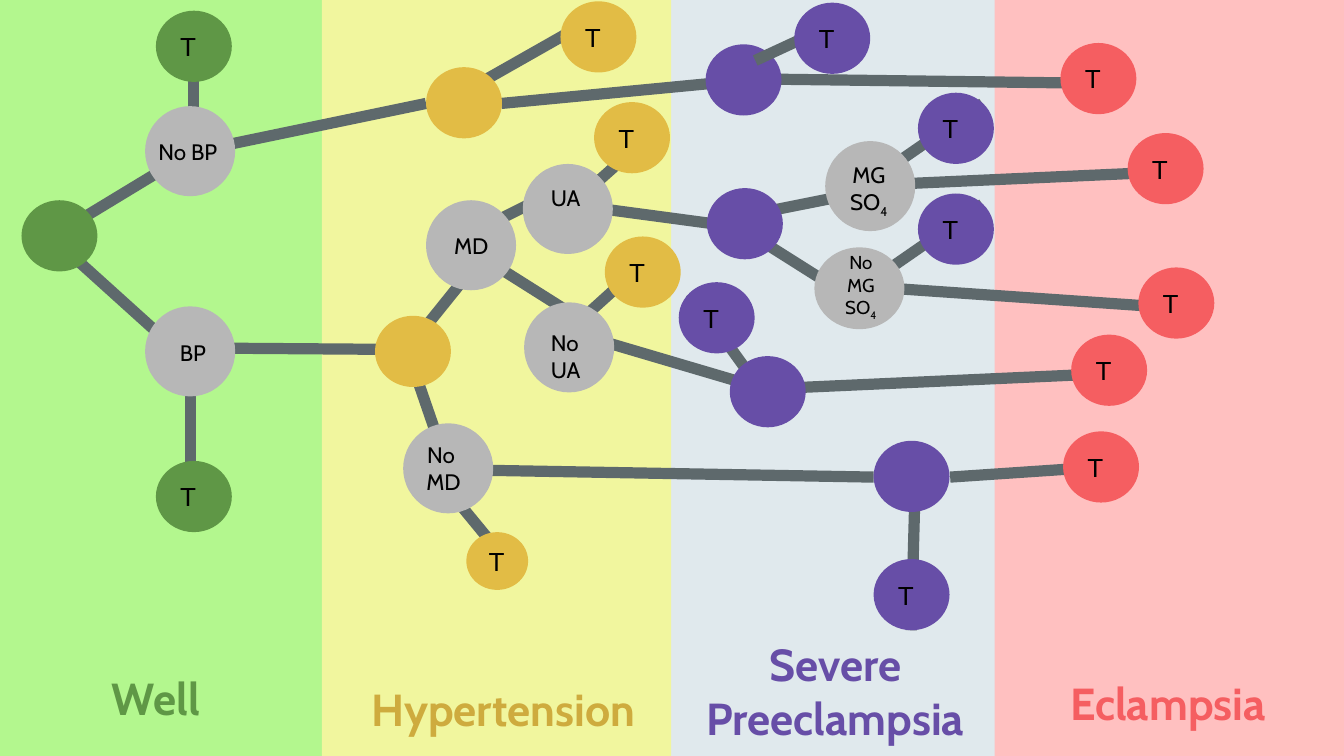
"""Build the slide of a decision tree from well, through hypertension, to eclampsia."""
from lxml.etree import SubElement
from pptx import Presentation
from pptx.dml.color import RGBColor
from pptx.enum.shapes import MSO_CONNECTOR, MSO_SHAPE
from pptx.enum.text import MSO_ANCHOR as Anchor, PP_ALIGN as Align
from pptx.oxml.ns import qn
from pptx.util import Inches, Pt

COLORS = {
    "well": "5F9746", "hypertension": "E2BC45", "severe": "674EA7", "eclampsia": "F55E61",
    "choice": "B7B7B7", "branch": "5E696C", "ink": "000000", "gold": "CEAB3E",
    "well band": "B3F78E", "hypertension band": "F1F69E",
    "severe band": "E0E9ED", "eclampsia band": "FFC0C0",
}

deck = Presentation()
deck.slide_width = Inches(10)
deck.slide_height = deck.slide_width * 9 // 16
page = deck.slides.add_slide(deck.slide_layouts[6])
COLUMNS, ROWS = 100, 56.25
column, row = deck.slide_width / COLUMNS, deck.slide_height / ROWS
DISC = (5.65, 5.3)
CHOICE = 6.7


def write(box, text, size, font="Cabin", color="ink", bold=False, align=Align.CENTER, anchor=Anchor.TOP):
    """Write lines of text, lowering whatever follows an underscore."""
    frame = box.text_frame
    frame.word_wrap, frame.vertical_anchor = True, anchor
    frame.margin_left = frame.margin_right = frame.margin_top = frame.margin_bottom = Inches(0.1)
    for number, line in enumerate(text.split("\n")):
        para = frame.add_paragraph() if number else frame.paragraphs[0]
        para.alignment = align
        for level, piece in enumerate(line.split("_")):
            span = para.add_run()
            span.text = piece
            span.font.name, span.font.size, span.font.bold = font, Pt(size), bold
            span.font.color.rgb = RGBColor.from_string(COLORS[color])
            if level:
                span.font._element.set("baseline", "-25000")


def add_filled(shapes, kind, color, left, top, width, height):
    """Add a plain filled shape measured in grid columns and rows."""
    shape = shapes.add_shape(kind, round(left * column), round(top * row),
                             round(width * column), round(height * row))
    shape.shadow.inherit = False
    shape.fill.solid()
    shape.fill.fore_color.rgb = RGBColor.from_string(COLORS[color])
    shape.line.fill.background()
    return shape


bands = [("well", 0, 49.2), ("severe", 49.4, 49.8), ("hypertension", 23.95, 26), ("eclampsia", 74, 26)]
for stage, left, width in bands:
    add_filled(page.shapes, MSO_SHAPE.RECTANGLE, f"{stage} band", left, 0, width, ROWS)

titles = [
    ("Well", "well", -0.6, 48.9, 24.4),
    ("Hypertension", "gold", 24.1, 49.7, 26.7),
    ("Severe Preeclampsia", "severe", 50.1, 46.4, 24.1),
    ("Eclampsia", "eclampsia", 74, 49.3, 25.8),
]
for title, color, left, top, width in titles:
    box = page.shapes.add_textbox(round(left * column), round(top * row), round(width * column), round(6.7 * row))
    write(box, title, 24, color=color, bold=True)

branches = [
    (6.2, 16.2, 11.8, 12.8), (5.9, 19.5, 12.1, 25.1), (15.3, 25.9, 29.6, 26),
    (15.8, 11, 31.7, 7.7), (37.3, 7.7, 55.1, 6), (58.1, 5.9, 81.6, 6.2),
    (31.2, 24.9, 35.3, 19.8), (32.8, 33.3, 30.7, 27.2), (36.6, 35, 65, 35.5),
    (35.4, 17.2, 40, 14.9), (36.6, 19.6, 42.3, 23.2), (40, 14.9, 54.2, 16.8),
    (70.7, 35.5, 82.6, 34.7), (56.2, 15.9, 63.2, 14.5), (56.6, 17.9, 62.3, 21.5),
    (62.2, 13.9, 86.6, 12.8), (64.1, 21.3, 87.3, 22.9), (44.5, 25.3, 55, 28.4),
    (58, 28.9, 82.4, 27.8), (14.2, 27.3, 14.2, 36.2), (14.4, 3, 14.4, 11.9),
    (57.4, 30.1, 51.4, 21.8), (67.8, 46.9, 68.1, 35.9), (45, 0.9, 33.9, 7.2),
    (36.5, 40.3, 34.2, 37.5), (66.6, 12.2, 73.1, 7.7), (66.6, 19.7, 73.1, 15.2),
    (49.2, 18.4, 40.9, 25.9), (49.2, 9.3, 40.9, 16.7),
]
states = [
    ("well", "", 1.6, 14.9, DISC), ("well", "T", 11.6, 34.3, DISC), ("well", "T", 11.6, 0.8, DISC),
    ("hypertension", "", 27.9, 23.5, DISC), ("hypertension", "", 31.7, 5, DISC),
    ("hypertension", "T", 41.7, 0.1, DISC), ("hypertension", "T", 34.7, 39.6, (4.6, 4.3)),
    ("hypertension", "T", 45, 17.6, DISC), ("hypertension", "T", 44.2, 7.6, DISC),
    ("severe", "", 52.5, 3.3, DISC), ("severe", "", 52.6, 14, DISC),
    ("severe", "T", 50.5, 21, DISC), ("severe", "", 54.3, 26.5, DISC),
    ("severe", "T", 65, 41.6, DISC), ("severe", "", 65, 32.8, DISC),
    ("severe", "T", 68.3, 6.9, DISC), ("severe", "T", 68.3, 14.4, DISC),
    ("eclampsia", "T", 78.9, 3.2, DISC), ("eclampsia", "T", 79.1, 32.1, DISC),
    ("eclampsia", "T", 83.9, 9.9, DISC), ("eclampsia", "T", 84.7, 19.9, DISC),
    ("eclampsia", "T", 79.7, 24.9, DISC),
]
top_branch = (56.2, 4.5, 62.9, 1.4)
top_state = ("severe", "T", 59.1, 0.2, DISC)

for layer_branches, layer_states in ((branches, states), ([top_branch], [top_state])):
    for start_x, start_y, end_x, end_y in layer_branches:
        branch = page.shapes.add_connector(
            MSO_CONNECTOR.STRAIGHT, round(start_x * column), round(start_y * row),
            round(end_x * column), round(end_y * row))
        branch.line.width = Pt(6)
        branch.line.color.rgb = RGBColor.from_string(COLORS["branch"])
        SubElement(branch._element.spPr, qn("a:effectLst"))
    for stage, label, left, top, size in layer_states:
        disc = add_filled(page.shapes, MSO_SHAPE.OVAL, stage, left, top, *size)
        if label:
            write(disc, label, 14, font="Arial", align=Align.LEFT, anchor=Anchor.MIDDLE)

choices = [
    ("No\nMG\nSO_4", 10, Align.CENTER, 60.6, 18.4, 6.1, (60.1, 17.7, 7.9, 5.3)),
    ("BP", 12, Align.LEFT, 10.8, 22.8, CHOICE, (12.4, 24.2, 5.7, 4.3)),
    ("No BP", 12, Align.LEFT, 10.8, 7.9, CHOICE, (10.8, 9.3, 7.3, 4.3)),
    ("No \nMD", 12, Align.CENTER, 30, 31.5, CHOICE, (28.7, 31.8, 8.6, 5.3)),
    ("MD", 12, Align.LEFT, 31.7, 14.9, CHOICE, (32.8, 16.3, 6.2, 4.3)),
    ("MG\nSO_4", 12, Align.CENTER, 61.4, 10.5, CHOICE, (60.7, 11, 7.9, 5.2)),
    ("No\nUA", 12, Align.LEFT, 39, 22.5, CHOICE, (40, 23.5, 6.2, 4.7)),
    ("UA", 12, Align.LEFT, 38.9, 12.2, CHOICE, (40, 12.7, 6.2, 4.3)),
]
for label, size, align, left, top, height, (text_left, text_top, text_width, text_height) in choices:
    group = page.shapes.add_group_shape()
    add_filled(group.shapes, MSO_SHAPE.OVAL, "choice", left, top, CHOICE, height)
    box = group.shapes.add_textbox(round(text_left * column), round(text_top * row),
                                   round(text_width * column), round(text_height * row))
    write(box, label, size, align=align)

deck.save("out.pptx")
